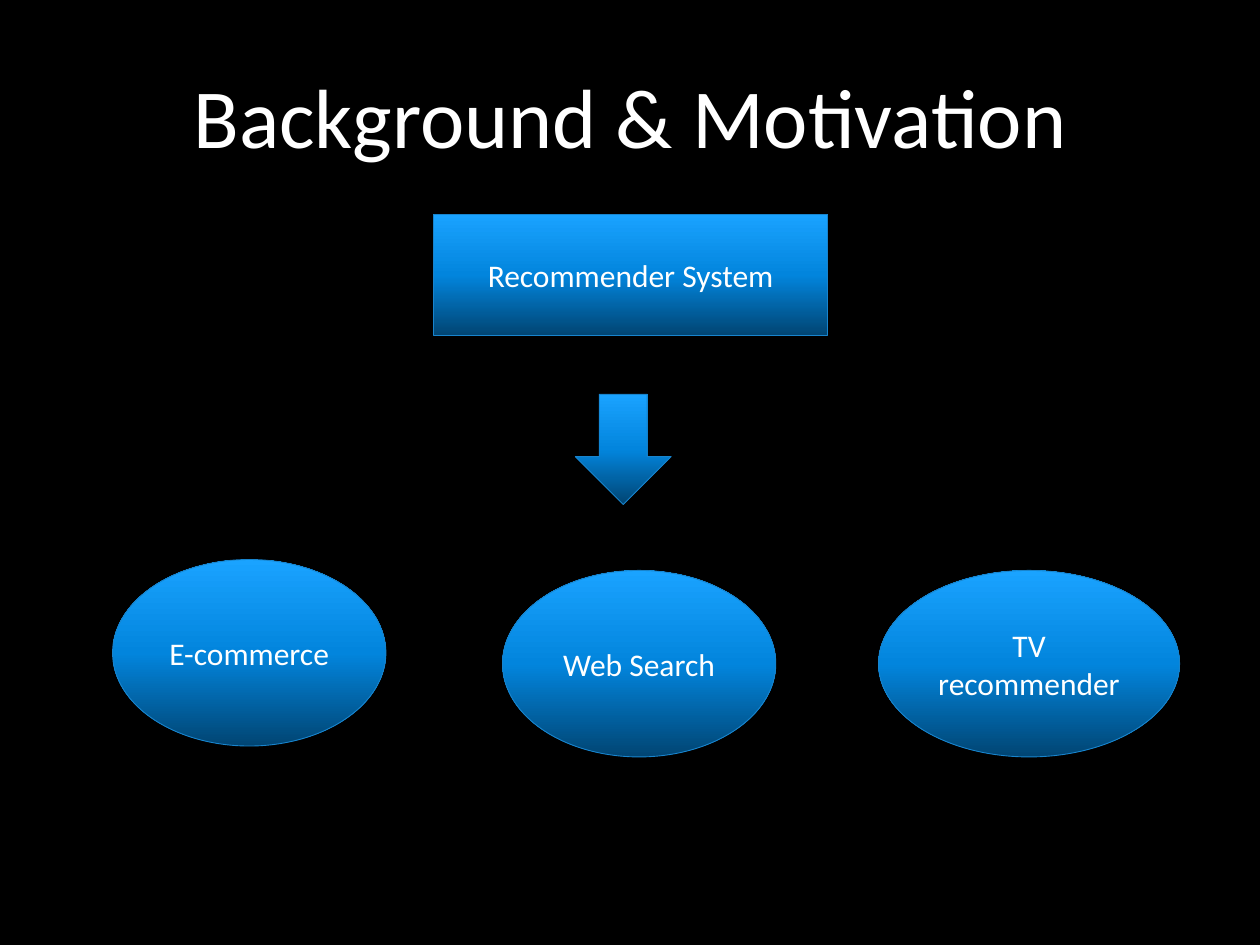
from copy import deepcopy

from pptx import Presentation
from pptx import util as u
from pptx.dml.color import RGBColor
from pptx.enum import shapes, text
from pptx.oxml.ns import qn

BLACK = RGBColor(0x00, 0x00, 0x00)
WHITE = RGBColor(0xFF, 0xFF, 0xFF)
OUTLINE = RGBColor(0x18, 0x84, 0xCD)
GRADIENT = [
    (0, RGBColor(0x01, 0x45, 0x73)),
    (0.5, RGBColor(0x02, 0x85, 0xDD)),
    (1, RGBColor(0x1A, 0xA3, 0xFF)),
]


def write_text(shape, words, size):
    frame = shape.text_frame
    frame.text = words
    frame.word_wrap = True
    frame.vertical_anchor = text.MSO_ANCHOR.MIDDLE
    para = frame.paragraphs[0]
    para.alignment = text.PP_ALIGN.CENTER
    for span in para.runs:
        span.font.name = "Calibri"
        span.font.size = u.Pt(size)
        span.font.color.rgb = WHITE


def paint_gradient(shape):
    shape.fill.gradient()
    shape.fill.gradient_angle = 90  # dark at the bottom, light at the top
    stop_list = shape._element.spPr.find(qn("a:gradFill")).find(qn("a:gsLst"))
    stop_list.insert(1, deepcopy(stop_list[0]))
    for stop, (position, color) in zip(shape.fill.gradient_stops, GRADIENT):
        stop.position = position
        stop.color.rgb = color


deck = Presentation()
deck.slide_width = u.Cm(25.4)
deck.slide_height = u.Cm(19.05)
page = deck.slides.add_slide(deck.slide_layouts[5])

# Background
page.background.fill.solid()
page.background.fill.fore_color.rgb = BLACK

# Title
title = page.shapes.title
title.left, title.top = u.Cm(1.91), u.Cm(0.33)
title.width, title.height = u.Cm(21.59), u.Cm(3.96)
write_text(title, "Background & Motivation", 48)

# System box, arrow and the three application areas
RECTANGLE = shapes.MSO_SHAPE.RECTANGLE
OVAL = shapes.MSO_SHAPE.OVAL
ARROW = shapes.MSO_SHAPE.DOWN_ARROW
diagram = [
    (RECTANGLE, 8.74, 4.32, 7.95, 2.44, "Recommender System"),
    (OVAL, 2.27, 11.28, 5.51, 3.76, "E-commerce"),
    (ARROW, 11.6, 7.95, 1.93, 2.22, ""),
    (OVAL, 10.13, 11.5, 5.51, 3.76, "Web Search"),
    (OVAL, 17.71, 11.5, 6.07, 3.76, "TV recommender"),
]
for kind, left, top, width, height, words in diagram:
    box = page.shapes.add_shape(
        kind, u.Cm(left), u.Cm(top), u.Cm(width), u.Cm(height)
    )
    box.shadow.inherit = False
    paint_gradient(box)
    box.line.color.rgb = OUTLINE
    box.line.width = u.Pt(0.5)
    if words:
        write_text(box, words, 18)

deck.save("out.pptx")
